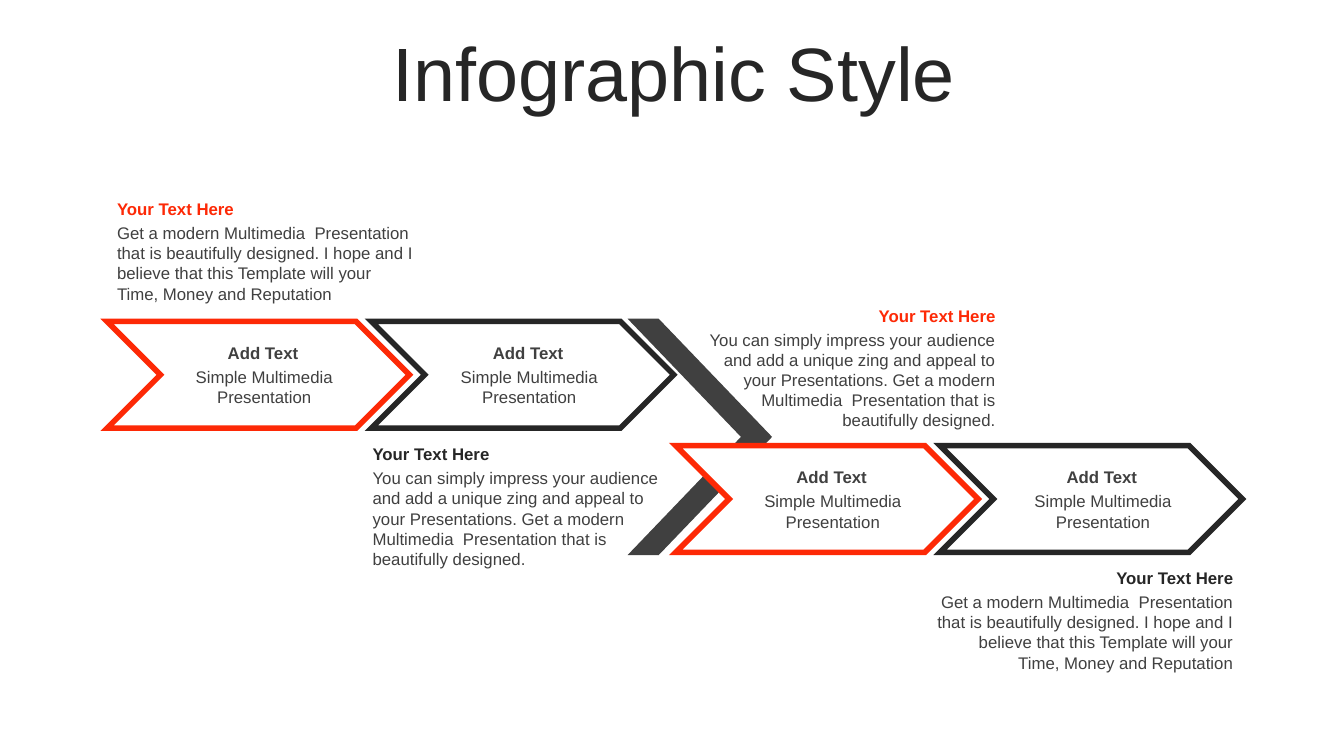
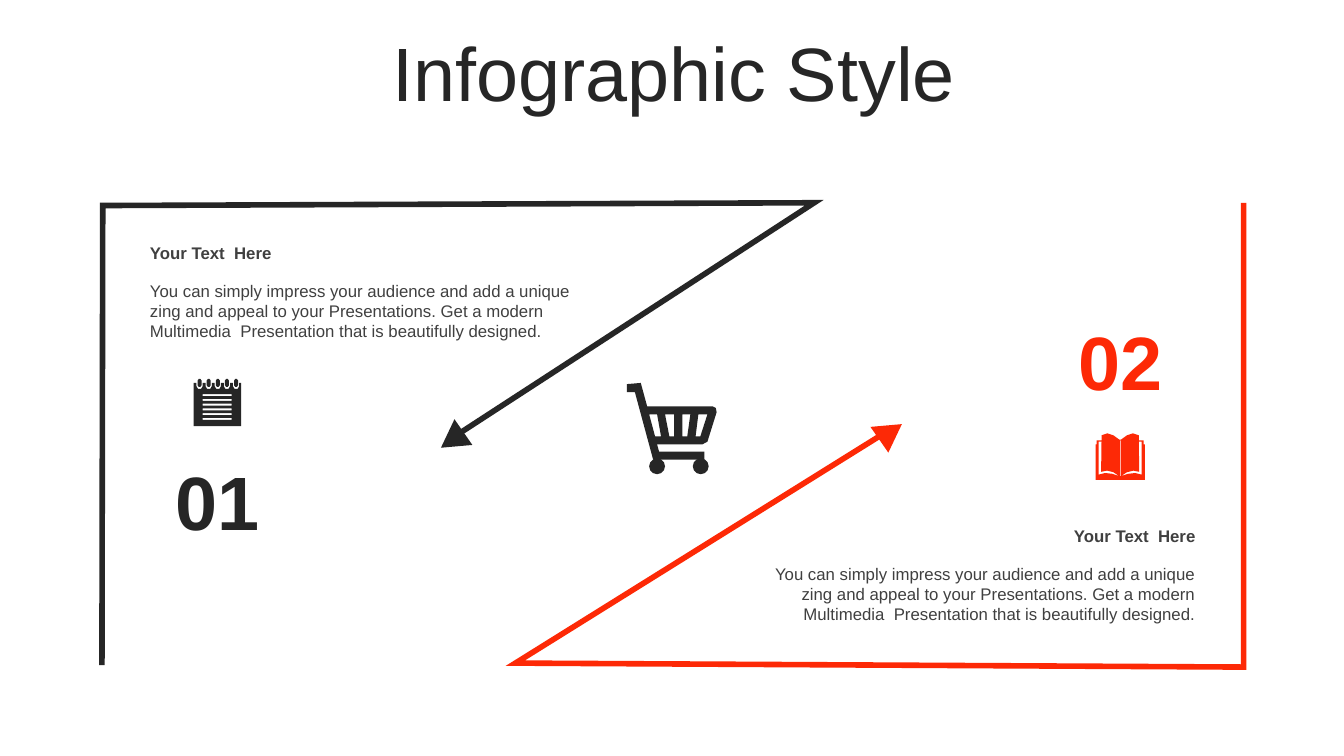
import lxml.etree
import pptx
import pptx.dml.color
import pptx.enum.shapes
import pptx.enum.text
import pptx.oxml.ns
import pptx.util

Cm = pptx.util.Cm
Pt = pptx.util.Pt
SHAPE = pptx.enum.shapes.MSO_SHAPE
ALIGN = pptx.enum.text.PP_ALIGN
ANCHOR = pptx.enum.text.MSO_ANCHOR
hex_color = pptx.dml.color.RGBColor.from_string

FONT = "Arial"
RED, DARK, GREY, WHITE = "FD2906", "262626", "404040", "FFFFFF"
TITLE = "Infographic Style"
IMPRESS = ("You can simply impress your audience and add a unique zing and appeal to your "
           "Presentations. Get a modern Multimedia  Presentation that is beautifully designed.")
MODERN = ("Get a modern Multimedia  Presentation that is beautifully designed. I hope and I "
          "believe that this Template will your Time, Money and Reputation")


def add_text(slide, box, text, color=GREY, size=12, bold=False,
             align=ALIGN.LEFT, anchor=ANCHOR.TOP):
    """Add a wrapped text box; box is left, top, width, height in cm."""
    frame = slide.shapes.add_textbox(*map(Cm, box)).text_frame
    frame.word_wrap = True
    frame.vertical_anchor = anchor
    paragraph = frame.paragraphs[0]
    paragraph.alignment = align
    run = paragraph.add_run()
    run.text = text
    run.font.name = FONT
    run.font.size = Pt(size)
    run.font.bold = bold
    run.font.color.rgb = hex_color(color)
    return paragraph


def paint(shape, fill=None, line=None):
    """Set fill and a 4 pt mitred line; None leaves that part out."""
    shape.shadow.inherit = False
    if fill:
        shape.fill.solid()
        shape.fill.fore_color.rgb = hex_color(fill)
    else:
        shape.fill.background()
    if line:
        shape.line.color.rgb = hex_color(line)
        shape.line.width = Pt(4)
        outline = shape.element.spPr.find(pptx.oxml.ns.qn("a:ln"))
        lxml.etree.SubElement(outline, pptx.oxml.ns.qn("a:miter"), lim="800000")
    else:
        shape.line.fill.background()


presentation = pptx.Presentation()
presentation.slide_width = Cm(33.87)
presentation.slide_height = Cm(19.05)

# Both slides carry the same title
slides = []
for number in range(2):
    slide = presentation.slides.add_slide(presentation.slide_layouts[6])
    title = add_text(slide, (0.9, 0.94, 32.16, 2), TITLE, DARK, 54,
                     align=ALIGN.CENTER, anchor=ANCHOR.MIDDLE)
    title.line_spacing = 0.9
    title.space_before = Pt(10)
    slides.append(slide)
process_slide, arrows_slide = slides

# Slide 1: two rows of chevrons, joined by a large one behind the lower row
CHEVRON_WIDTH, CHEVRON_HEIGHT, CHEVRON_STEP = 7.62, 2.69, 6.66
for row, (left, top, label_lefts) in enumerate([
        (2.7, 8.1, (4.24, 10.92)), (17.03, 11.23, (18.57, 25.38))]):
    if row == 1:
        joint = process_slide.shapes.add_shape(
            SHAPE.CHEVRON, Cm(15.98), Cm(8.1), Cm(3.38), Cm(5.82))
        joint.adjustments[0] = 0.826
        paint(joint, GREY, GREY)
    for column, (color, label_left) in enumerate(zip((RED, DARK), label_lefts)):
        chevron = process_slide.shapes.add_shape(
            SHAPE.CHEVRON, Cm(left + column * CHEVRON_STEP), Cm(top),
            Cm(CHEVRON_WIDTH), Cm(CHEVRON_HEIGHT))
        paint(chevron, WHITE, color)
        add_text(process_slide, (label_left, top + 0.41, 4.78, 0.76), "Add Text",
                 bold=True, align=ALIGN.CENTER)
        add_text(process_slide, (label_left + 0.03, top + 1.02, 4.78, 1.27),
                 "Simple Multimedia Presentation", align=ALIGN.CENTER)

# Slide 1: callouts
for left, top, color, align, text in [
        (2.7, 4.88, RED, ALIGN.LEFT, MODERN),
        (9.14, 11.06, DARK, ALIGN.LEFT, IMPRESS),
        (17.34, 7.57, RED, ALIGN.RIGHT, IMPRESS),
        (23.33, 14.18, DARK, ALIGN.RIGHT, MODERN)]:
    add_text(process_slide, (left, top, 8, 0.76), "Your Text Here", color,
             bold=True, align=align)
    add_text(process_slide, (left, top + 0.61, 8, 2.5), text, align=align)

# Slide 2: cart with four slots in its basket
cart = [[(15.8, 9.68), (16.15, 9.65), (16.31, 10.24), (17.96, 10.24), (18.04, 10.28),
         (18.06, 10.39), (17.83, 11.13), (17.7, 11.2), (16.56, 11.2), (16.61, 11.38),
         (17.75, 11.38), (17.75, 11.58), (16.46, 11.58), (16, 9.88), (15.8, 9.88)]]
for corners in [(16.36, 16.56, 16.66, 16.51), (16.76, 16.99, 16.99, 16.87),
                (17.2, 17.4, 17.32, 17.2), (17.6, 17.83, 17.65, 17.53)]:
    cart.append(list(zip(corners, (10.44, 10.44, 11, 11))))

# Slide 2: open book, mirrored about its middle
BOOK_MIDDLE = 28.23
half_cover = [(0.62, 12.09), (0.62, 11.2), (0.59, 11.2), (0.59, 11.1), (0.47, 11.1),
              (0.47, 10.97), (0.32, 10.92), (0.17, 10.97), (0.02, 11.08)]
page_gap = [(0.54, 11.13), (0.47, 11.13), (0.48, 11.89), (0.33, 11.86), (0.17, 11.9),
            (0.02, 12), (0.2, 11.94), (0.38, 11.92), (0.54, 11.96)]
book = [[(BOOK_MIDDLE - x, y) for x, y in half_cover]
        + [(BOOK_MIDDLE + x, y) for x, y in reversed(half_cover)],
        [(BOOK_MIDDLE + x, y) for x, y in
         ((-0.01, 11.1), (0.01, 11.1), (0.01, 12), (-0.01, 12))]]
for side in (-1, 1):
    book.append([(BOOK_MIDDLE + side * x, y) for x, y in page_gap])

# Slide 2: notepad with notches, rings and written lines
sheet = [(4.88, 10.74), (4.88, 9.65)]
notepad = [sheet]
for index in range(5):
    middle = 5.03 + index * 0.23
    sheet += [(middle + x, y) for x, y in
              ((-0.08, 9.65), (-0.08, 9.73), (-0.04, 9.8), (0.04, 9.8),
               (0.08, 9.73), (0.08, 9.65))]
    notepad.append([(middle + x, y) for x, y in
                    ((-0.05, 9.59), (-0.02, 9.55), (0.02, 9.55),
                     (0.05, 9.59), (0.05, 9.71), (0.02, 9.75),
                     (-0.02, 9.75), (-0.05, 9.71))])
sheet += [(6.08, 9.65), (6.08, 10.74)]
for index in range(6):
    top = 9.93 + index * 0.12
    notepad.append([(5.11, top), (5.84, top), (5.84, top + 0.05), (5.11, top + 0.05)])

# Slide 2: bent lines and icons
dark_line = [[(2.57, 16.76), (2.59, 5.18), (20.52, 5.11), (11.61, 10.9)]]
red_line = [[(31.34, 5.11), (31.34, 16.81), (12.99, 16.71), (22.2, 10.97)]]
for contours, fill, line in [(dark_line, None, DARK), (red_line, None, RED),
                             (cart, DARK, None), (notepad, DARK, None),
                             (book, RED, None)]:
    builder = None
    for contour in contours:
        points = [(Cm(x), Cm(y)) for x, y in contour]
        if builder is None:
            builder = arrows_slide.shapes.build_freeform(*points[0])
        else:
            builder.move_to(*points[0])
        builder.add_line_segments(points[1:], close=fill is not None)
    paint(builder.convert_to_shape(), fill, line)

# Slide 2: arrowheads and cart wheels
for kind, left, top, width, height, rotation, color in [
        (SHAPE.ISOSCELES_TRIANGLE, 11, 10.74, 0.79, 0.69, 235.2, DARK),
        (SHAPE.ISOSCELES_TRIANGLE, 22.05, 10.54, 0.79, 0.69, 55.2, RED),
        (SHAPE.OVAL, 16.36, 11.55, 0.4, 0.4, 0, DARK),
        (SHAPE.OVAL, 17.46, 11.55, 0.4, 0.4, 0, DARK)]:
    shape = arrows_slide.shapes.add_shape(kind, Cm(left), Cm(top), Cm(width), Cm(height))
    shape.rotation = rotation
    paint(shape, color)

# Slide 2: numbers and texts
for number, left, top, color in [("01", 3.94, 11.33, DARK), ("02", 26.69, 7.8, RED)]:
    add_text(arrows_slide, (left, top, 3.1, 2.56), number, color, 54, True,
             ALIGN.CENTER, ANCHOR.MIDDLE)
for left, top, align in [(3.53, 5.99, ALIGN.LEFT), (18.98, 13.13, ALIGN.RIGHT)]:
    add_text(arrows_slide, (left, top, 11.4, 0.76), "Your Text  Here", bold=True, align=align)
    add_text(arrows_slide, (left, top + 0.95, 11.4, 1.8), IMPRESS, align=align)

presentation.save("out.pptx")
